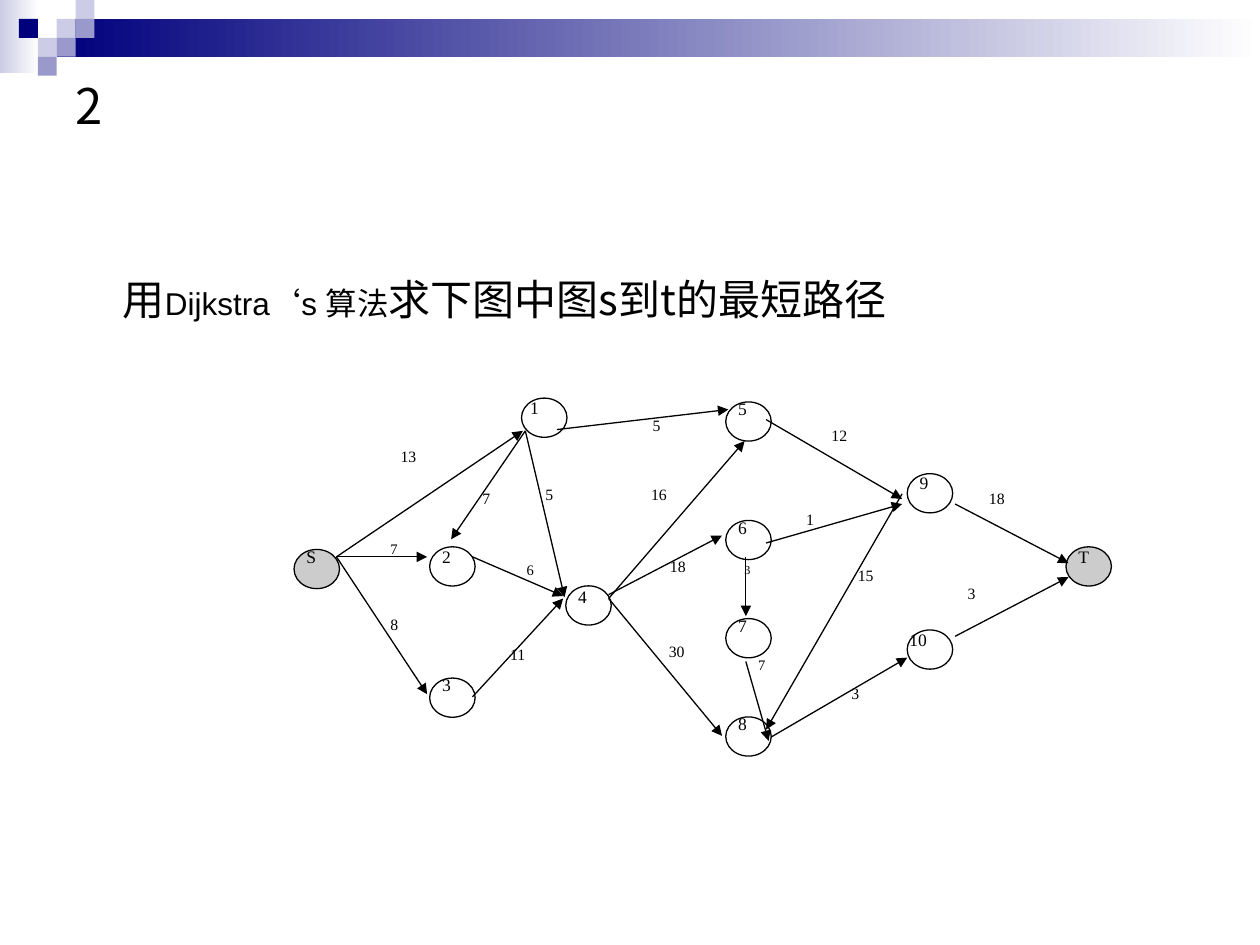
from collections import namedtuple
from dataclasses import dataclass

from pptx import Presentation
from pptx.dml.color import RGBColor
from pptx.enum.shapes import MSO_CONNECTOR, MSO_SHAPE
from pptx.enum.text import MSO_ANCHOR, MSO_AUTO_SIZE, PP_ALIGN
from pptx.oxml.ns import qn
from pptx.util import Pt
from lxml.etree import SubElement

Box = namedtuple("Box", "left top width height")
Node = namedtuple("Node", "label left top label_dx label_dy label_width terminal",
                  defaults=(0, -5.8, 26, False))
Edge = namedtuple("Edge", "start end weight weight_at style", defaults=("small",))
WeightStyle = namedtuple("WeightStyle", "width height size spacing")


@dataclass(frozen=True)
class Theme:
    navy: str = "00007D"
    violet: str = "9999CC"
    lilac: str = "CCCCE6"
    white: str = "FFFFFF"
    ink: str = "000000"
    cjk: str = "Noto Sans CJK SC"
    latin: str = "Arial"
    quote: str = "Comic Neue"
    graph: str = "Times New Roman"
    title_size: float = 28
    task_size: float = 24
    name_size: float = 18
    node_size: float = 10
    line_width: float = 0.75
    terminal_alpha: int = 20


THEME = Theme()
NODE_WIDTH, NODE_HEIGHT = 26, 22.4

WEIGHT_STYLES = {
    "large": WeightStyle(39, 34, 9, 1),
    "small": WeightStyle(24, 24, 9, 1),
    "tight": WeightStyle(24, 18, 8.3, 0.9),
    "tiny": WeightStyle(26, 16.6, 7, 0.8),
}

NODES = [
    Node("S", 0, 91, terminal=True),
    Node("1", 130, 4.5, -2.2, -4.3),
    Node("2", 77.5, 89.5, 0, -4.3, 34.5),
    Node("3", 77.5, 164.5),
    Node("4", 155.3, 111.8, 0, -3.6),
    Node("5", 246.7, 6.7),
    Node("6", 246.7, 74.4),
    Node("7", 246.7, 130.5),
    Node("8", 246.7, 186.7),
    Node("9", 350.4, 47.7, 0, -4.3, 34.5),
    Node("10", 350.4, 137, -5.8, -4.3, 39),
    Node("T", 441.1, 89.5, 0, -4.3, terminal=True),
]

S_OUT, ONE_OUT, FOUR_OUT = (24.3, 95.2), (132.2, 23.2), (179.8, 119)

EDGES = [
    Edge(S_OUT, (130.8, 23.2), "13", (53.8, 29)),
    Edge(S_OUT, (76.1, 95.2), "7", (48, 83), "tight"),
    Edge(S_OUT, (76.1, 173.7), "8", (48, 124.8), "large"),
    Edge(ONE_OUT, (89.8, 85.2), "7", (100.6, 52.8), "large"),
    Edge(ONE_OUT, (154.6, 118.3), "5", (136.6, 50.6)),
    Edge((150.2, 22.5), (248.2, 11), "5", (197.8, 11)),
    Edge((102, 95.2), (153.8, 117.6), "6", (125.8, 95.2), "tight"),
    Edge((102, 175.2), (153.8, 119), "11", (116.4, 142), "large"),
    Edge(FOUR_OUT, (257.5, 29), "16", (197, 50.6), "large"),
    Edge((179.8, 116.8), (244.6, 83), "18", (207.8, 91.6), "large"),
    Edge(FOUR_OUT, (244.6, 197.5), "30", (207.1, 139.9), "large"),
    Edge((258.2, 95.2), (258.2, 129.1), "3", (250.3, 96.7), "tiny"),
    Edge((258.2, 155), (271.2, 200.4), "7", (258.2, 149.2), "tight"),
    Edge((269.8, 16.8), (347.5, 62.1), "12", (300, 16.8)),
    Edge((269.8, 87.3), (347.5, 65), "1", (285.6, 65)),
    Edge((347.5, 59.2), (269.8, 193.9), "15", (315.1, 96.7), "large"),
    Edge((272.6, 198.2), (350.4, 152.8), "3", (311.5, 164.4), "large"),
    Edge((377.8, 65), (442.6, 98.8), "18", (390, 52.8)),
    Edge((377.8, 140.6), (442.6, 106.8), "3", (377.8, 106.8)),
]

TASK = [
    ("用", THEME.cjk, THEME.task_size),
    ("Dijkstra", THEME.latin, THEME.name_size),
    ("‘", THEME.quote, THEME.name_size),
    ("s 算法", THEME.latin, THEME.name_size),
    ("求下图中图s到t的最短路径", THEME.cjk, THEME.task_size),
]


def rgb(color):
    return RGBColor.from_string(color)


def write(frame, runs, align=PP_ALIGN.LEFT, anchor=MSO_ANCHOR.TOP, spacing=1):
    """Fill the frame with one paragraph of (text, font, size) runs."""
    frame.word_wrap = True
    frame.auto_size = MSO_AUTO_SIZE.NONE
    frame.vertical_anchor = anchor
    paragraph = frame.paragraphs[0]
    paragraph.alignment = align
    paragraph.line_spacing = spacing
    paragraph.space_before = Pt(0)
    for text, font, size in runs:
        run = paragraph.add_run()
        run.text = text
        run.font.name = font
        run.font.size = Pt(size)
        run.font.color.rgb = rgb(THEME.ink)
        SubElement(run.font._element, qn("a:ea"), typeface=THEME.cjk)
    return paragraph


def place(shape, box):
    shape.left, shape.top, shape.width, shape.height = map(Pt, box)


def add_shape(slide, kind, box):
    shape = slide.shapes.add_shape(kind, *map(Pt, box))
    shape.shadow.inherit = False
    return shape


def add_block(slide, box, color, fade_to=None):
    block = add_shape(slide, MSO_SHAPE.RECTANGLE, box)
    block.line.fill.background()
    if fade_to:
        block.fill.gradient()
        block.fill.gradient_angle = 0
        for stop, shade in zip(block.fill.gradient_stops, (color, fade_to)):
            stop.color.rgb = rgb(shade)
    else:
        block.fill.solid()
        block.fill.fore_color.rgb = rgb(color)


def add_banner(slide, box):
    tile = box.height / 4
    add_block(slide, Box(box.left, box.top, 22.3, 41.8), THEME.lilac, THEME.white)
    add_block(slide, Box(box.left + 3 * tile, box.top + tile, box.width - 3 * tile, 2 * tile),
              THEME.navy, THEME.white)
    tiles = [(3, 1, THEME.lilac), (4, 0, THEME.lilac), (4, 1, THEME.violet),
             (2, 2, THEME.lilac), (1, 1, THEME.navy), (3, 2, THEME.violet),
             (2, 3, THEME.violet)]
    for column, row, color in tiles:
        add_block(slide, Box(box.left + column * tile, box.top + row * tile, tile, tile), color)


def add_title(slide, box):
    title = slide.shapes.title
    place(title, box)
    write(title.text_frame, [("2", THEME.cjk, THEME.title_size)], anchor=MSO_ANCHOR.MIDDLE)


def add_task(slide, box):
    task = slide.placeholders[1]
    place(task, box)
    properties = write(task.text_frame, TASK, spacing=0.9)._p.get_or_add_pPr()
    properties.set("marL", str(Pt(27)))
    properties.set("indent", "0")
    SubElement(properties, qn("a:buNone"))


def add_label(slide, box, text, size, spacing=1):
    label = slide.shapes.add_textbox(*map(Pt, box))
    write(label.text_frame, [(text, THEME.graph, size)], align=PP_ALIGN.JUSTIFY, spacing=spacing)


def add_node(slide, box, node):
    left, top = box.left + node.left, box.top + node.top
    add_label(slide, Box(left + node.label_dx, top + node.label_dy, node.label_width, 34),
              node.label, THEME.node_size)
    circle = add_shape(slide, MSO_SHAPE.OVAL, Box(left, top, NODE_WIDTH, NODE_HEIGHT))
    circle.line.color.rgb = rgb(THEME.ink)
    circle.line.width = Pt(THEME.line_width)
    if node.terminal:
        circle.fill.solid()
        circle.fill.fore_color.rgb = rgb(THEME.ink)
        color = circle._element.spPr.find(qn("a:solidFill"))[0]
        SubElement(color, qn("a:alpha"), val=str(THEME.terminal_alpha * 1000))
    else:
        circle.fill.background()


def add_arrow(slide, box, edge):
    ends = [Pt(origin + offset) for point in (edge.start, edge.end)
            for origin, offset in zip(box, point)]
    arrow = slide.shapes.add_connector(MSO_CONNECTOR.STRAIGHT, *ends)
    arrow.line.color.rgb = rgb(THEME.ink)
    arrow.line.width = Pt(THEME.line_width)
    SubElement(arrow.line._get_or_add_ln(), qn("a:tailEnd"), type="triangle")
    SubElement(arrow._element.spPr, qn("a:effectLst"))


def add_graph(slide, box):
    for node in NODES:
        add_node(slide, box, node)
    for edge in EDGES:
        add_arrow(slide, box, edge)
    for edge in EDGES:
        style = WEIGHT_STYLES[edge.style]
        x, y = edge.weight_at
        add_label(slide, Box(box.left + x, box.top + y, style.width, style.height),
                  edge.weight, style.size, style.spacing)


def main():
    deck = Presentation()
    deck.slide_width, deck.slide_height = Pt(720), Pt(540)
    slide = deck.slides.add_slide(deck.slide_layouts[1])
    add_banner(slide, Box(0, 0, 720, 43.2))
    add_title(slide, Box(36, 36, 648, 48))
    add_task(slide, Box(36, 156, 648, 306))
    add_graph(slide, Box(168, 223, 467, 210))
    deck.save("out.pptx")


if __name__ == "__main__":
    main()
